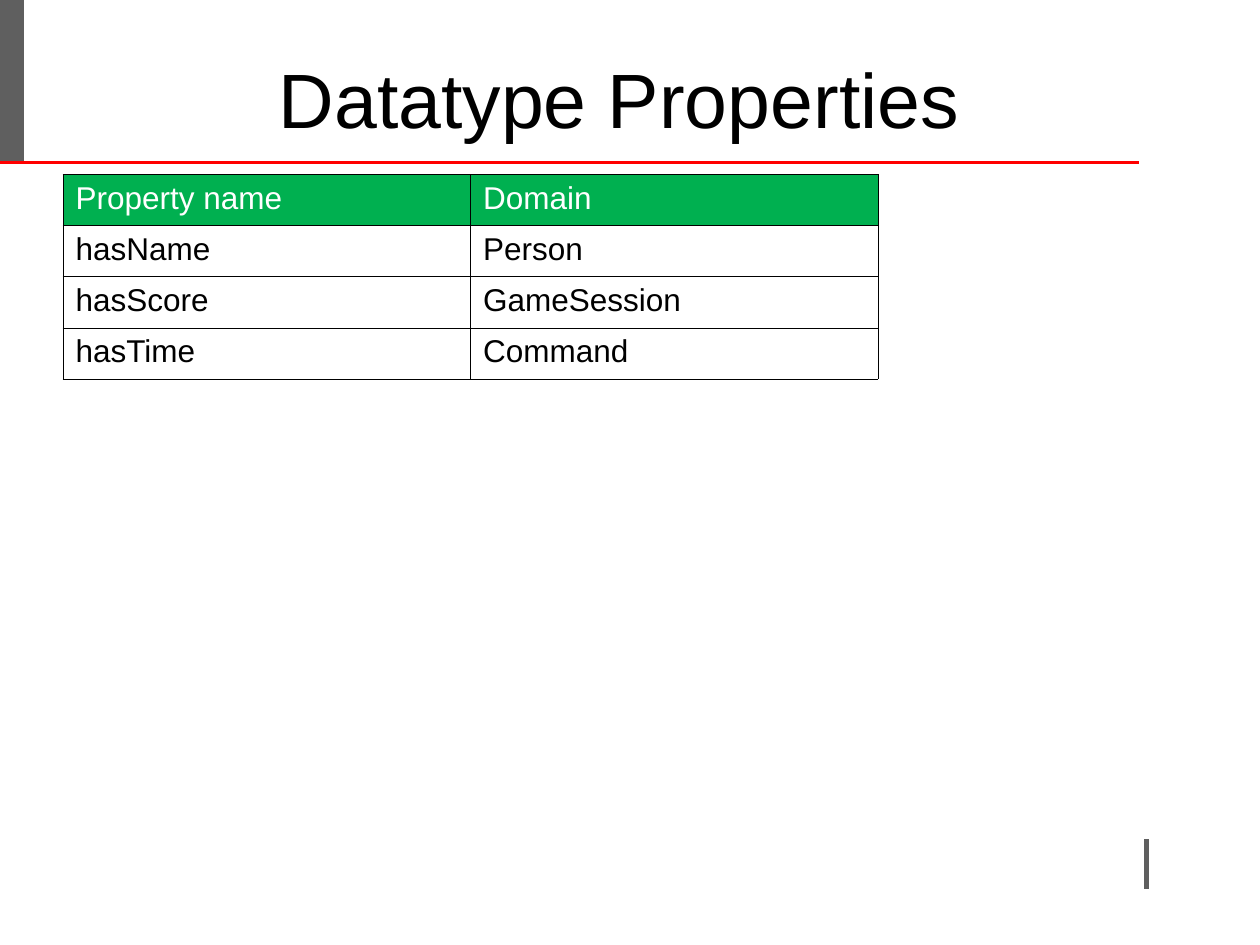
from dataclasses import dataclass

from lxml import etree
from pptx import Presentation
from pptx import util as u
from pptx.dml import color
from pptx.enum import shapes, text
from pptx.oxml import ns


@dataclass(frozen=True)
class Theme:
    font: str = "Arial"
    ink: str = "000000"
    paper: str = "FFFFFF"
    header: str = "00B050"
    bar: str = "5F5F5F"
    rule: str = "FF0000"
    title_size: float = 44
    body_size: float = 18
    border: float = 0.45


THEME = Theme()
PROPERTIES = [
    ("Property name", "Domain"),
    ("hasName", "Person"),
    ("hasScore", "GameSession"),
    ("hasTime", "Command"),
]


def rgb(value):
    return color.RGBColor.from_string(value)


def apply(target, formats):
    for name, value in formats.items():
        setattr(target, name, value)


def write(paragraph, words, size, ink):
    run = paragraph.add_run()
    run.text = words
    apply(run.font, {"name": THEME.font, "size": u.Pt(size), "bold": False})
    run.font.color.rgb = rgb(ink)


def add_line(slide, start, end, ink, weight):
    points = [u.Cm(value) for value in (*start, *end)]
    line = slide.shapes.add_connector(shapes.MSO_CONNECTOR.STRAIGHT, *points)
    line.line.color.rgb = rgb(ink)
    line.line.width = u.Pt(weight)
    etree.SubElement(line._element.spPr, ns.qn("a:effectLst"))


def add_frame(slide, left, top, width, height):
    right, bottom = left + width, top + height
    band = top + 3.28
    mark = right - 2.29
    add_line(slide, (mark, bottom - 2.13), (mark, bottom - 1.12), THEME.bar, 3)
    add_line(slide, (left + 0.24, top), (left + 0.24, band), THEME.bar, 13.5)
    add_line(slide, (left, band), (right - 2.44, band), THEME.rule, 1.5)


def add_title(slide, words, left, top, width, height):
    title = slide.shapes.add_textbox(*map(u.Cm, (left, top, width, height)))
    apply(title.text_frame, {
        "word_wrap": True,
        "vertical_anchor": text.MSO_ANCHOR.TOP,
        "margin_top": u.Cm(0.28),
    })
    heading = title.text_frame.paragraphs[0]
    heading.alignment = text.PP_ALIGN.CENTER
    write(heading, words, THEME.title_size, THEME.ink)


def add_borders(cell):
    properties = cell._tc.get_or_add_tcPr()
    for index, side in enumerate(("lnL", "lnR", "lnT", "lnB")):
        edge = etree.Element(ns.qn(f"a:{side}"), w=str(u.Pt(THEME.border)))
        fill = etree.SubElement(edge, ns.qn("a:solidFill"))
        etree.SubElement(fill, ns.qn("a:srgbClr"), val=THEME.ink)
        properties.insert(index, edge)


def add_properties(slide, rows, left, top, width, height):
    box = map(u.Cm, (left, top, width, height))
    table = slide.shapes.add_table(len(rows), len(rows[0]), *box).table
    apply(table, {"first_row": False, "horz_banding": False})
    for row_index, row in enumerate(rows):
        is_header = row_index == 0
        for column_index, words in enumerate(row):
            cell = table.cell(row_index, column_index)
            if is_header:
                cell.fill.solid()
                cell.fill.fore_color.rgb = rgb(THEME.header)
            else:
                cell.fill.background()
            add_borders(cell)
            write(cell.text_frame.paragraphs[0], words, THEME.body_size,
                  THEME.paper if is_header else THEME.ink)


def main():
    deck = Presentation()
    apply(deck, {"slide_width": u.Cm(25.4), "slide_height": u.Cm(19.05)})
    slide = deck.slides.add_slide(deck.slide_layouts[6])
    add_frame(slide, 0, 0, 25.4, 19.05)
    add_title(slide, "Datatype Properties ", 1.27, 0.76, 22.86, 3.18)
    add_properties(slide, PROPERTIES, 1.27, 3.52, 16.43, 4.12)
    deck.save("out.pptx")


if __name__ == "__main__":
    main()
